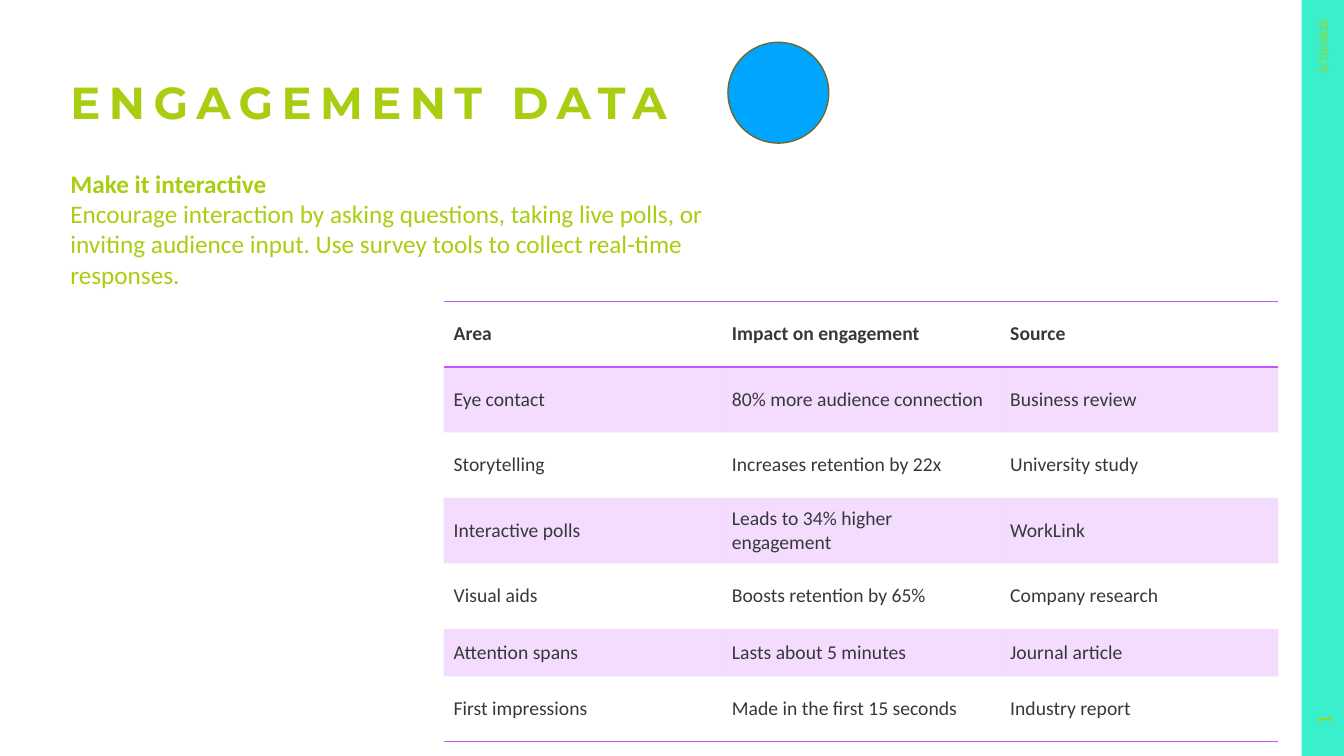
from lxml.etree import SubElement
from pptx import Presentation
from pptx.dml.color import RGBColor
from pptx.enum.shapes import MSO_SHAPE
from pptx.enum.text import MSO_ANCHOR, PP_ALIGN
from pptx.oxml import parse_xml
from pptx.oxml.ns import nsdecls, qn
from pptx.util import Inches, Pt

# Content
TITLE = "ENGAGEMENT DATA"
ADVICE_HEADING = "Make it interactive"
ADVICE = ("Encourage interaction by asking questions, taking live polls, or "
          "inviting audience input. Use survey tools to collect real-time responses.")
DATE = "5/10/2025"
PAGE_NUMBER = "1"
ENGAGEMENT = [
    ("Area", "Impact on engagement", "Source"),
    ("Eye contact", "80% more audience connection", "Business review"),
    ("Storytelling", "Increases retention by 22x", "University study"),
    ("Interactive polls", "Leads to 34% higher engagement", "WorkLink"),
    ("Visual aids", "Boosts retention by 65%", "Company research"),
    ("Attention spans", "Lasts about 5 minutes", "Journal article"),
    ("First impressions", "Made in the first 15 seconds", "Industry report"),
]
ROW_HEIGHTS = [0.65, 0.65, 0.65, 0.65, 0.65, 0.47, 0.65]
COLUMN_WIDTH = 2.76

# Colours
LIME = RGBColor(0xA9, 0xCE, 0x11)
TEAL = RGBColor(0x3A, 0xEF, 0xCC)
BLUE = RGBColor(0x00, 0xA5, 0xFF)
OLIVE = RGBColor(0x6F, 0x68, 0x2A)
PURPLE = RGBColor(0xCA, 0x54, 0xFB)
CHARCOAL = RGBColor(0x36, 0x39, 0x3B)

NO_GRID_STYLE = "{2D5ABB26-0587-4C30-8999-92F81FD0307C}"

prs = Presentation()
prs.slide_width, prs.slide_height = Inches(13.33), Inches(7.5)
slide = prs.slides.add_slide(prs.slide_layouts[6])


def set_font(paragraph, size, color, bold=False, name="Calibri"):
    font = paragraph.font
    font.name, font.size, font.bold = name, Pt(size), bold
    font.color.rgb = color


def add_text(left, top, width, height, text):
    box = slide.shapes.add_textbox(*map(Inches, (left, top, width, height)))
    box.text_frame.word_wrap = True
    box.text_frame.text = text
    return box


def add_plain_shape(preset, left, top, width, height, color):
    shape = slide.shapes.add_shape(preset, *map(Inches, (left, top, width, height)))
    shape.shadow.inherit = False
    shape.fill.solid()
    shape.fill.fore_color.rgb = color
    return shape


def add_side_label(left, top, width, text, size):
    label = add_text(left, top, width, 0.42, text)
    label.rotation = 270
    label.text_frame.vertical_anchor = MSO_ANCHOR.MIDDLE
    paragraph = label.text_frame.paragraphs[0]
    paragraph.alignment = PP_ALIGN.CENTER
    set_font(paragraph, size, LIME)


def add_border(cell, side, position):
    cell._tc.get_or_add_tcPr().insert(position, parse_xml(
        f'<a:{side} {nsdecls("a")} w="12700"><a:solidFill><a:srgbClr val="{PURPLE}"/>'
        f'</a:solidFill></a:{side}>'))


# Side bar
side_bar = add_plain_shape(MSO_SHAPE.RECTANGLE, 12.91, 0, 0.42, 7.5, TEAL)
side_bar.line.fill.background()

# Title
title = add_text(0.6, 0.7, 11.69, 1.3, TITLE).text_frame
title.margin_top, title.margin_right, title.margin_bottom = Inches(0.1), 0, 0
heading = title.paragraphs[0]
heading.line_spacing = 0.9
set_font(heading, 32, LIME, True, "Montserrat")
heading.runs[0].font._element.set("spc", "600")

# Engagement table
table = slide.shapes.add_table(
    len(ENGAGEMENT), len(ENGAGEMENT[0]), Inches(4.4), Inches(2.99),
    Inches(COLUMN_WIDTH * len(ENGAGEMENT[0])), Inches(sum(ROW_HEIGHTS))).table
table.horz_banding = False
table._tbl.tblPr.find(qn("a:tableStyleId")).text = NO_GRID_STYLE
for column in table.columns:
    column.width = Inches(COLUMN_WIDTH)
for r, (entries, height) in enumerate(zip(ENGAGEMENT, ROW_HEIGHTS)):
    table.rows[r].height = Inches(height)
    for c, entry in enumerate(entries):
        cell = table.cell(r, c)
        cell.text = entry
        cell.vertical_anchor = MSO_ANCHOR.MIDDLE
        set_font(cell.text_frame.paragraphs[0], 14, CHARCOAL, r == 0)
        if r % 2:
            cell.fill.solid()
            cell.fill.fore_color.rgb = PURPLE
            tint = cell._tc.tcPr.find(".//" + qn("a:srgbClr"))
            SubElement(tint, qn("a:alpha")).set("val", "20000")
        else:
            cell.fill.background()
        if r in (0, len(ENGAGEMENT) - 1):
            add_border(cell, "lnB", 0)
        if r == 0:
            add_border(cell, "lnT", 0)

# Date and page number
add_side_label(12.66, 0.25, 0.92, DATE, 9)
add_side_label(12.77, 6.94, 0.7, PAGE_NUMBER, 14)

# Circle
circle = add_plain_shape(MSO_SHAPE.OVAL, 7.22, 0.42, 1, 1, BLUE)
circle.line.color.rgb = OLIVE
circle.line.width = Pt(1)

# Advice
advice = add_text(0.6, 1.62, 6.68, 1.31, ADVICE_HEADING).text_frame
set_font(advice.paragraphs[0], 18, LIME, True)
detail = advice.add_paragraph()
detail.text = ADVICE
detail.space_after = Pt(10)
set_font(detail, 18, LIME)

prs.save("out.pptx")
